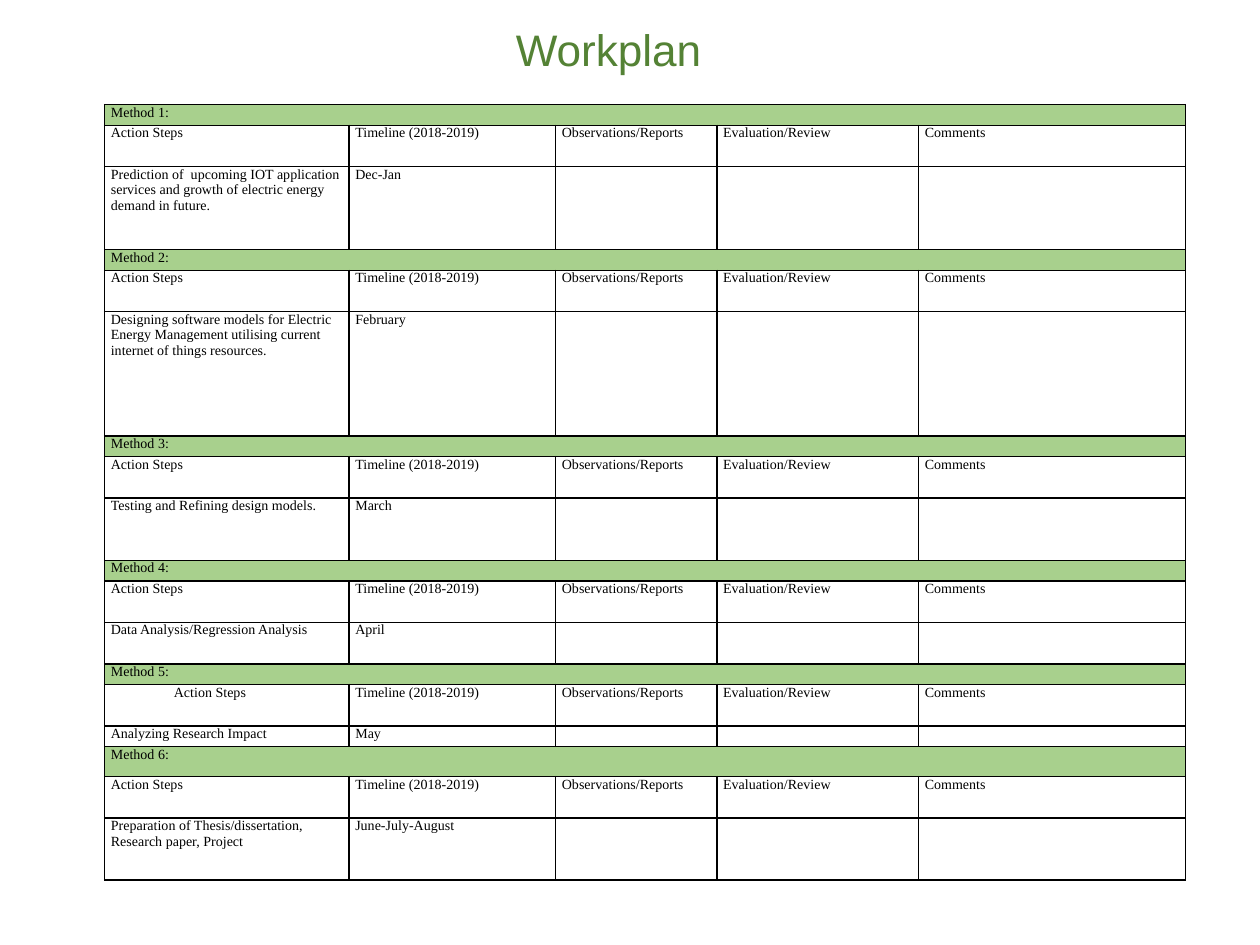
from lxml import etree
from pptx import Presentation
from pptx.dml.color import RGBColor
from pptx.enum.text import MSO_ANCHOR, MSO_AUTO_SIZE, PP_ALIGN
from pptx.oxml.ns import qn
from pptx.util import Inches, Pt

BOTTOM, TOP = MSO_ANCHOR.BOTTOM, MSO_ANCHOR.TOP
CENTER, FIXED = PP_ALIGN.CENTER, MSO_AUTO_SIZE.NONE

THEME = {
    "title": {"name": "Arial", "size": Pt(25.2), "color": "548235"},
    "cell": {"name": "Times New Roman", "size": Pt(8), "color": "000000"},
    "band": "A8D08D",
    "rule": "000000",
    "line": Pt(1),
}
HEADS = ["Action Steps", "Timeline (2018-2019)", "Observations/Reports",
         "Evaluation/Review", "Comments"]
# step, time, height of the band and of the step row in grid rows
PLAN = [
    ("Prediction of  upcoming IOT application services and growth of "
     "electric energy demand in future.", "Dec-Jan", 1, 4),
    ("Designing software models for Electric Energy Management utilising "
     "current internet of things resources.", "February", 1, 6),
    ("Testing and Refining design models.", "March", 1, 3),
    ("Data Analysis/Regression Analysis", "April", 1, 2),
    ("Analyzing Research Impact", "May", 1, 1),
    ("Preparation of Thesis/dissertation, Research paper, Project",
     "June-July-August", 1.45, 3),
]
COLS = [1.94, 1.64, 1.28, 1.6, 2.12]
HEAD = 2
INDENTED = 5


def style(font, look):
    for key in ("name", "size"):
        setattr(font, key, look[key])
    font.color.rgb = RGBColor.from_string(look["color"])


def dress(cell, text, band):
    """Write one cell with its fill, text style and four borders."""
    for key, value in {"margin_left": Inches(0.05), "margin_right": Inches(0.05),
                       "margin_top": 0, "margin_bottom": 0,
                       "vertical_anchor": TOP}.items():
        setattr(cell, key, value)
    para = cell.text_frame.paragraphs[0]
    if text:
        run = para.add_run()
        run.text = text
        style(run.font, THEME["cell"])
    # The end mark's size keeps empty cells from stretching their row
    end = etree.SubElement(para._p, qn("a:endParaRPr"))
    end.set("sz", str(int(THEME["cell"]["size"].pt * 100)))
    props = cell._tc.get_or_add_tcPr()
    for side in ("lnL", "lnR", "lnT", "lnB"):
        line = etree.SubElement(props, qn(f"a:{side}"), w=str(THEME["line"]))
        fill = etree.SubElement(line, qn("a:solidFill"))
        etree.SubElement(fill, qn("a:srgbClr"), val=THEME["rule"])
    if band:
        cell.fill.solid()
        cell.fill.fore_color.rgb = RGBColor.from_string(THEME["band"])
    else:
        cell.fill.background()


deck = Presentation()
deck.slide_width, deck.slide_height = Inches(10), Inches(7.5)
slide = deck.slides.add_slide(deck.slide_layouts[5])

title = slide.shapes.title
for key, value in {"left": 1.08, "top": 0.13, "width": 7.5, "height": 0.52}.items():
    setattr(title, key, Inches(value))
frame = title.text_frame
for key, value in {"text": "Workplan", "vertical_anchor": BOTTOM,
                   "auto_size": FIXED, "word_wrap": True}.items():
    setattr(frame, key, value)
para = frame.paragraphs[0]
para.alignment, para.line_spacing = CENTER, 0.9
style(para.runs[0].font, THEME["title"])

rows = []
for num, (step, time, band, tall) in enumerate(PLAN, 1):
    rows += [([f"Method {num}:"], band), (HEADS, HEAD), ([step, time], tall)]

high = Inches(6.16)
unit = high / sum(tall for _, tall in rows)
table = slide.shapes.add_table(len(rows), len(COLS), Inches(0.83), Inches(0.83),
                               Inches(sum(COLS)), high).table
table.first_row = table.horz_banding = False
for col, wide in zip(table.columns, COLS):
    col.width = Inches(wide)

for r, (texts, tall) in enumerate(rows):
    table.rows[r].height = int(unit * tall)
    band = r % 3 == 0
    for c in range(len(COLS)):
        dress(table.cell(r, c), texts[c] if c < len(texts) else "", band)
    if band:
        table.cell(r, 0).merge(table.cell(r, len(COLS) - 1))

# The heading of one method has a first-line indent
para = table.cell(3 * INDENTED - 2, 0).text_frame.paragraphs[0]
para._p.get_or_add_pPr().set("indent", str(Inches(0.5)))

deck.save("out.pptx")
